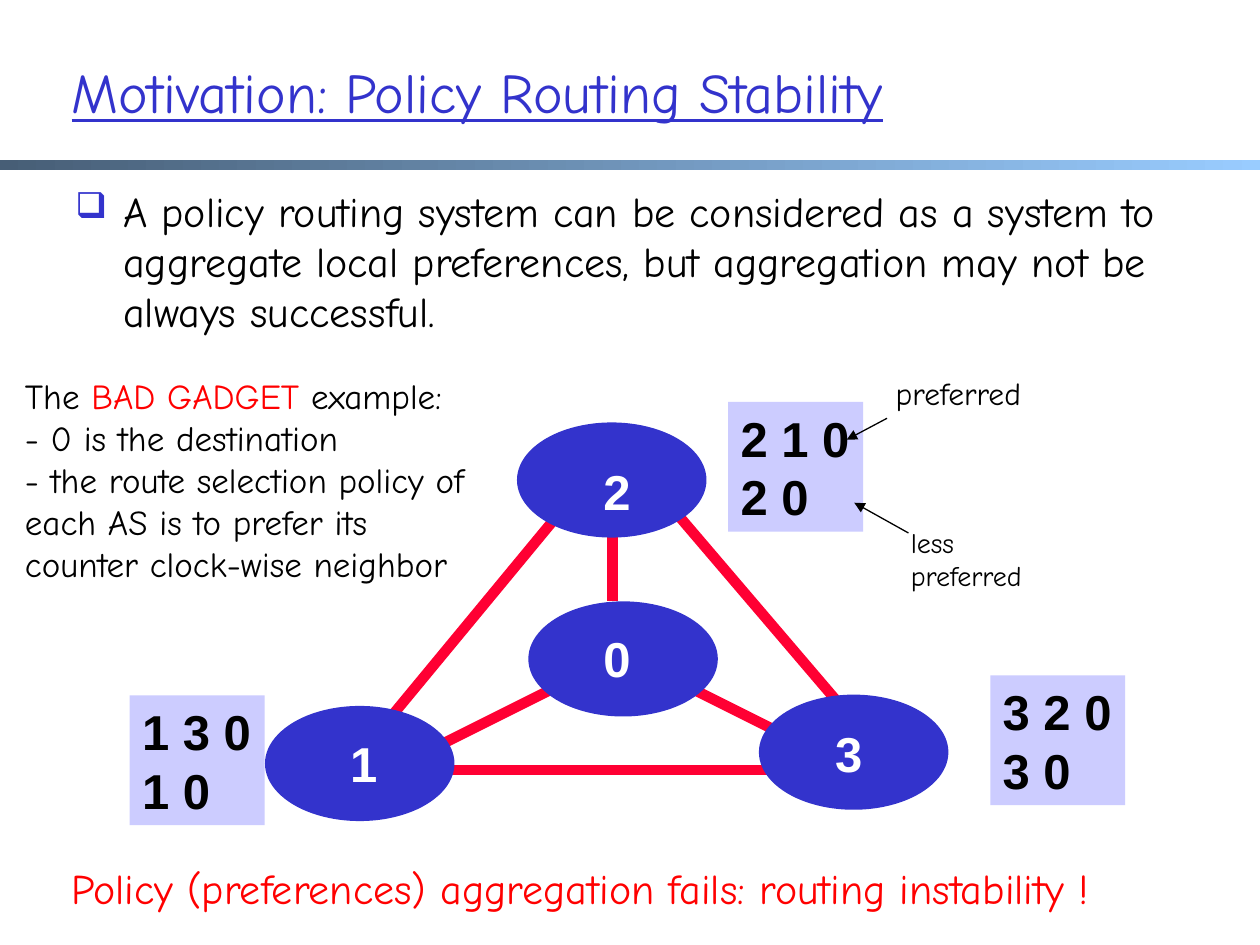
from dataclasses import dataclass

from lxml.etree import SubElement
from pptx import Presentation
from pptx.dml.color import RGBColor
from pptx.enum.dml import MSO_LINE
from pptx.enum.shapes import MSO_CONNECTOR, MSO_SHAPE
from pptx.enum.text import MSO_ANCHOR, PP_ALIGN
from pptx.oxml.ns import qn
from pptx.util import Pt

SCALE = 9144


def px(num):
    return num * SCALE


@dataclass(frozen=True)
class Theme:
    blue: str = "3333CC"
    pale: str = "CCCCFF"
    link: str = "FF0033"
    red: str = "FF0000"
    black: str = "000000"
    white: str = "FFFFFF"
    dark: str = "475E76"
    light: str = "99CCFF"
    font: str = "Comic Neue"
    bold: str = "Arial"
    title: int = 32
    node: int = 28
    body: int = 24
    note: int = 20
    label: int = 18
    small: int = 16


class Deck:
    def __init__(self, theme):
        self.theme = theme
        self.file = Presentation()
        self.file.slide_width, self.file.slide_height = px(1000), px(750)
        self.slide = self.file.slides.add_slide(self.file.slide_layouts[6])

    def style(self, frame, size, color, bold=False):
        for para in frame.paragraphs:
            para.alignment = PP_ALIGN.LEFT
            for run in para.runs:
                font = run.font
                font.name = self.theme.bold if bold else self.theme.font
                font.size, font.bold = Pt(size), bold
                font.color.rgb = RGBColor.from_string(color)

    def text(self, words, box, size, color, bold=False):
        frame = self.slide.shapes.add_textbox(*map(px, box)).text_frame
        frame.word_wrap = True
        frame.text = words
        self.style(frame, size, color, bold)
        return frame

    def shape(self, kind, box, color):
        item = self.slide.shapes.add_shape(kind, *map(px, box))
        item.shadow.inherit = False
        item.fill.solid()
        item.fill.fore_color.rgb = RGBColor.from_string(color)
        item.line.fill.background()
        return item

    def band(self, box):
        fill = self.shape(MSO_SHAPE.RECTANGLE, box, self.theme.dark).fill
        fill.gradient()
        fill.gradient_angle = 0
        tones = self.theme.dark, self.theme.light
        for stop, tone, spot in zip(fill.gradient_stops, tones, (0, 1)):
            stop.color.rgb = RGBColor.from_string(tone)
            stop.position = spot

    def line(self, ends, color, width, arrow=False):
        item = self.slide.shapes.add_connector(MSO_CONNECTOR.STRAIGHT, *map(px, ends))
        item.line.color.rgb = RGBColor.from_string(color)
        item.line.width = Pt(width)
        item.line.dash_style = MSO_LINE.SOLID
        props = item.line._get_or_add_ln()
        if arrow:
            SubElement(props, qn("a:tailEnd"), type="triangle")
        SubElement(item._element.spPr, qn("a:effectLst"))

    def node(self, name, left, top, x, y):
        oval = self.shape(MSO_SHAPE.OVAL, (left, top, 149, 90), self.theme.blue)
        oval.line.color.rgb = RGBColor.from_string(self.theme.blue)
        oval.line.width = Pt(1)
        self.text(name, (x, y, 42, 57), self.theme.node, self.theme.white, True)

    def routes(self, words, left, top):
        card = self.shape(MSO_SHAPE.RECTANGLE, (left, top, 107, 103), self.theme.pale)
        frame = card.text_frame
        frame.word_wrap = False
        frame.vertical_anchor = MSO_ANCHOR.TOP
        frame.text = words
        self.style(frame, self.theme.node, self.theme.black, True)

    def bullet(self, words, box):
        frame = self.text(words, box, self.theme.body, self.theme.black)
        props = frame.paragraphs[0]._p.get_or_add_pPr()
        props.set("marL", str(px(38)))
        props.set("indent", str(px(-38)))
        tint = SubElement(props, qn("a:buClr"))
        SubElement(tint, qn("a:srgbClr"), val=self.theme.blue)
        SubElement(props, qn("a:buSzPct"), val="85000")
        SubElement(props, qn("a:buChar"), char="❑")


def main():
    theme = Theme()
    deck = Deck(theme)
    deck.band((0, 127, 1000, 8))
    title = deck.text("Motivation: Policy Routing Stability", (47, 28, 902, 89),
                      theme.title, theme.blue)
    title.vertical_anchor = MSO_ANCHOR.MIDDLE
    title.paragraphs[0].runs[0].font.underline = True

    deck.bullet("A policy routing system can be considered as a system to aggregate "
                "local preferences, but aggregation may not be always successful.",
                (50, 142, 881, 140))

    for ends in ((703, 602, 511, 377), (469, 377, 269, 619), (486, 352, 486, 477),
                 (478, 527, 344, 594), (644, 594, 544, 544), (719, 611, 269, 611)):
        deck.line(ends, theme.link, 6)
    for node in (("2", 411, 336, 469, 361), ("0", 420, 478, 469, 494),
                 ("3", 603, 552, 653, 569), ("1", 211, 561, 268, 577)):
        deck.node(*node)
    for card in (("2 1 0\n2 0", 578, 319), ("1 3 0\n1 0", 103, 552),
                 ("3 2 0\n3 0", 786, 536)):
        deck.routes(*card)

    deck.text("preferred", (701, 292, 138, 40), theme.label, theme.black)
    deck.text("less\npreferred", (713, 412, 125, 64), theme.small, theme.black)
    for ends in ((704, 332, 672, 349), (721, 423, 678, 399)):
        deck.line(ends, theme.black, 0.75, arrow=True)

    note = deck.text("The \n- 0 is the destination\n- the route selection policy of "
                     "each AS is to prefer its counter clock-wise neighbor",
                     (10, 292, 386, 177), theme.note, theme.black)
    head = note.paragraphs[0]
    for words in ("BAD GADGET", " example:"):
        head.add_run().text = words
    deck.style(note, theme.note, theme.black)
    head.runs[1].font.color.rgb = RGBColor.from_string(theme.red)

    deck.text("Policy (preferences) aggregation fails: routing instability !",
              (47, 680, 927, 50), theme.body, theme.red)
    deck.file.save("out.pptx")


if __name__ == "__main__":
    main()
